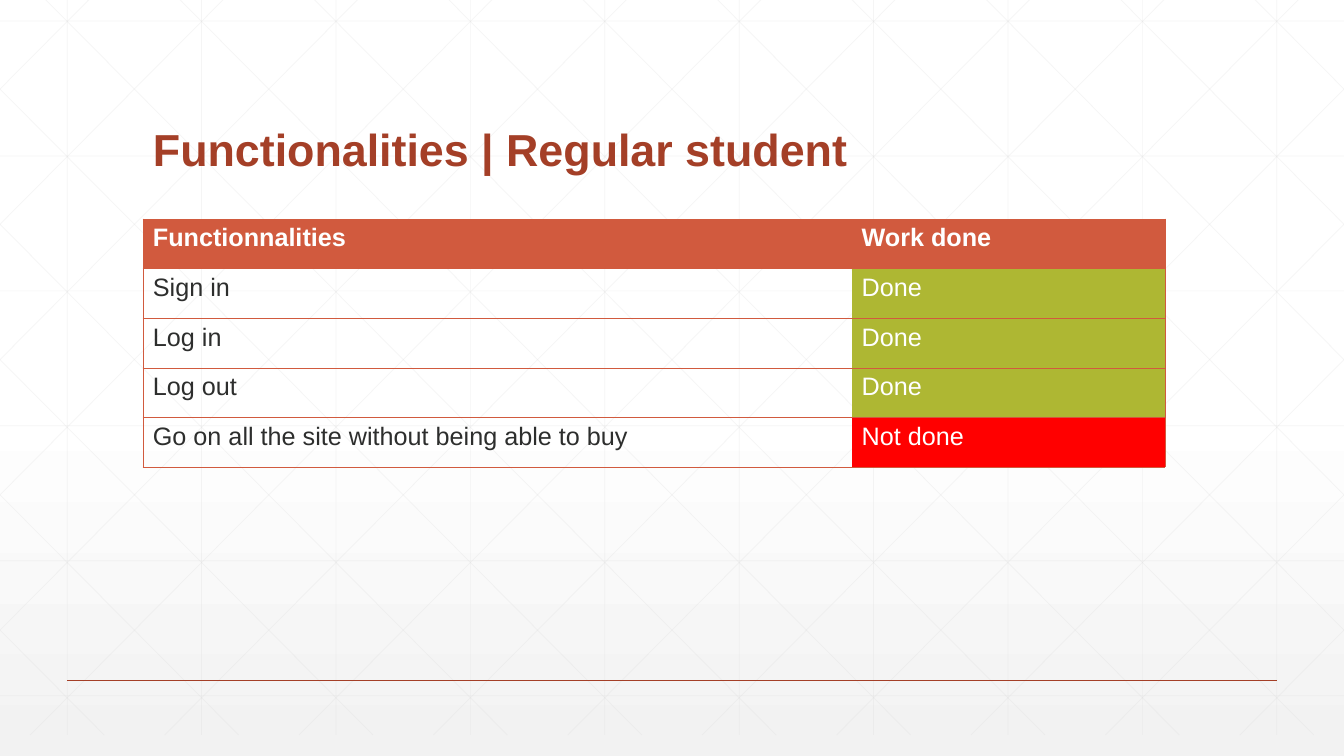
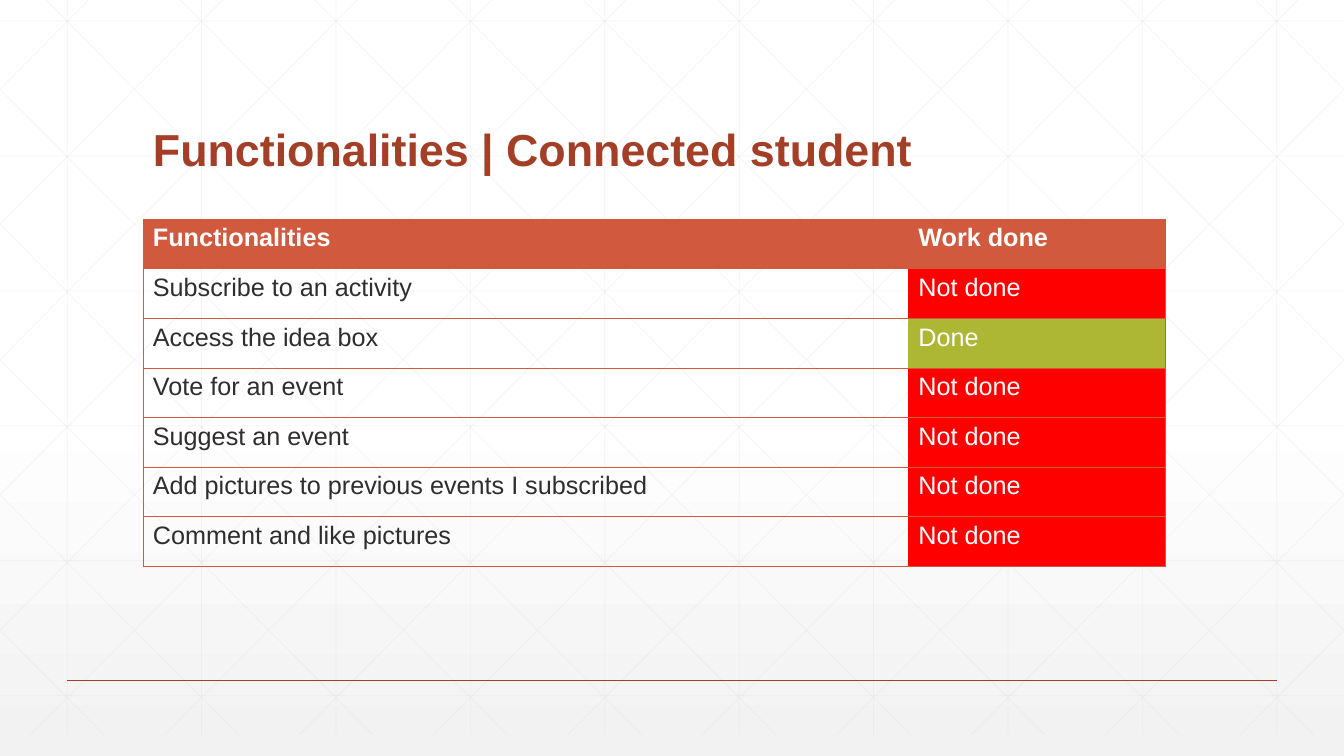
"""Build two slides that report which site functionalities are done."""
from copy import deepcopy
from dataclasses import dataclass
from typing import Iterator, NamedTuple

from pptx import Presentation
from pptx.dml.color import RGBColor
from pptx.enum import shapes, text
from pptx.oxml import ns, xmlchemy
from pptx.util import Cm, Pt
from lxml import etree


@dataclass(frozen=True)
class Theme:
    font: str = "Arial"
    title_size: float = 32
    table_size: float = 18
    grid_width: float = 0.5
    rule_width: float = 1
    border_width: float = 0.5
    title: RGBColor = RGBColor.from_string("A43F27")
    header: RGBColor = RGBColor.from_string("D15A3E")
    ink: RGBColor = RGBColor.from_string("2D2E2D")
    white: RGBColor = RGBColor.from_string("FFFFFF")
    done: RGBColor = RGBColor.from_string("AEB733")
    not_done: RGBColor = RGBColor.from_string("FF0000")
    grid: RGBColor = RGBColor.from_string("D9D9D9")
    page_end: RGBColor = RGBColor.from_string("F2F2F2")


class Segment(NamedTuple):
    x1: float
    y1: float
    x2: float
    y2: float


class Feature(NamedTuple):
    label: str
    done: bool


@dataclass(frozen=True)
class Report:
    title: str
    heading: str
    column_widths: tuple[float, float]
    features: tuple[Feature, ...]


THEME = Theme()
WIDTH, HEIGHT = 33.87, 19.05
PITCH = WIDTH / 10
GRID_TOP, GRID_BOTTOM = -0.53, 18.52
DIAGONAL_RUN = 18.93
MARGIN = 3.6
TABLE_TOP = 5.52
ROW_HEIGHT = 1.25
PLAIN_TABLE_STYLE = "{2D5ABB26-0587-4C30-8999-92F81FD0307C}"

REPORTS = (
    Report("Functionalities | Regular student", "Functionnalities", (17.86, 7.9), (
        Feature("Sign in", True),
        Feature("Log in", True),
        Feature("Log out", True),
        Feature("Go on all the site without being able to buy", False),
    )),
    Report("Functionalities | Connected student", "Functionalities", (19.29, 6.47), (
        Feature("Subscribe to an activity", False),
        Feature("Access the idea box", True),
        Feature("Vote for an event", False),
        Feature("Suggest an event", False),
        Feature("Add pictures to previous events I subscribed", False),
        Feature("Comment and like pictures", False),
    )),
)


def grid_segments() -> Iterator[Segment]:
    """Yield the vertical, horizontal and mirrored diagonal grid lines."""
    for column in range(10):
        x = PITCH * (column + 0.5)
        yield Segment(x, GRID_TOP, x, GRID_BOTTOM)
    for row in range(6):
        y = 0.53 + 3.4 * row
        yield Segment(0, y, WIDTH, y)
    slope = (GRID_BOTTOM - GRID_TOP) / DIAGONAL_RUN
    for step in range(-5, 10):
        start = 0.63 + PITCH * step
        left, right = max(start, 0), min(start + DIAGONAL_RUN, WIDTH)
        top, bottom = (GRID_TOP + (x - start) * slope for x in (left, right))
        yield Segment(left, top, right, bottom)
        yield Segment(WIDTH - left, top, WIDTH - right, bottom)


def set_alpha(color: xmlchemy.BaseOxmlElement, percent: int) -> None:
    """Make a colour element partly transparent."""
    etree.SubElement(color, ns.qn("a:alpha")).set("val", str(percent * 1000))


def add_line(group, segment: Segment, color: RGBColor, width: float):
    """Draw one straight line without a shadow."""
    line = group.shapes.add_connector(
        shapes.MSO_CONNECTOR.STRAIGHT, *(Cm(value) for value in segment))
    line.line.color.rgb = color
    line.line.width = Pt(width)
    etree.SubElement(line.element.spPr, ns.qn("a:effectLst"))
    return line


def paint_background(layout) -> None:
    """Give the layout a gradient from white to pale grey."""
    fill = layout.background.fill
    fill.gradient()
    fill.gradient_angle = 270
    first, last = fill.gradient_stops
    first.color.rgb, first.position = THEME.white, 0
    last.color.rgb, last.position = THEME.page_end, 1
    stops = layout.element.find(".//" + ns.qn("a:gsLst"))
    middle = deepcopy(stops[0])
    middle.set("pos", "53000")
    stops.insert(1, middle)
    set_alpha(stops[2][0], 65)


def move_backdrop_to_layout(slide) -> None:
    """Draw the grid and the footer rule, and place them in the slide's layout."""
    backdrop = slide.shapes.add_group_shape()
    for segment in grid_segments():
        line = add_line(backdrop, segment, THEME.grid, THEME.grid_width)
        set_alpha(line.element.find(".//" + ns.qn("a:srgbClr")), 25)
    rule = Segment(PITCH / 2, 17.15, WIDTH - PITCH / 2, 17.15)
    add_line(backdrop, rule, THEME.title, THEME.rule_width)
    for number, node in enumerate(backdrop.element.iter(ns.qn("p:cNvPr")), 100):
        node.set("id", str(number))
    slide.slide_layout.shapes.element.insert(2, backdrop.element)


def write(paragraph, words: str, size: float, color: RGBColor, bold: bool) -> None:
    """Add one formatted run."""
    run = paragraph.add_run()
    run.text = words
    run.font.name = THEME.font
    run.font.size = Pt(size)
    run.font.bold = bold
    run.font.color.rgb = color


def write_title(slide, words: str) -> None:
    """Place and fill the title placeholder."""
    title = slide.shapes.title
    title.left, title.top, title.width, title.height = (
        Cm(MARGIN), Cm(1.4), Cm(26.67), Cm(3.17))
    frame = title.text_frame
    frame.word_wrap = True
    frame.auto_size = text.MSO_AUTO_SIZE.NONE
    frame.vertical_anchor = text.MSO_ANCHOR.BOTTOM
    paragraph = frame.paragraphs[0]
    paragraph.alignment = text.PP_ALIGN.LEFT
    paragraph.line_spacing = 0.9
    write(paragraph, words, THEME.title_size, THEME.title, True)


def fill_cell(cell, words: str, fill: RGBColor | None, outer_side: str,
              bold: bool = False) -> None:
    """Fill a cell, and border its outer side, top and bottom."""
    if fill is None:
        cell.fill.background()
    else:
        cell.fill.solid()
        cell.fill.fore_color.rgb = fill
    color = THEME.ink if fill is None else THEME.white
    write(cell.text_frame.paragraphs[0], words, THEME.table_size, color, bold)
    properties = cell._tc.get_or_add_tcPr()
    for position, side in enumerate((outer_side, "lnT", "lnB")):
        border = etree.Element(ns.qn(f"a:{side}"), w=str(Pt(THEME.border_width)))
        solid = etree.SubElement(border, ns.qn("a:solidFill"))
        etree.SubElement(solid, ns.qn("a:srgbClr")).set("val", str(THEME.header))
        properties.insert(position, border)


def add_status_table(slide, report: Report) -> None:
    """Add the table of functionalities and their status."""
    row_count = len(report.features) + 1
    frame = slide.shapes.add_table(
        row_count, 2, Cm(MARGIN), Cm(TABLE_TOP),
        Cm(sum(report.column_widths)), Cm(ROW_HEIGHT * row_count))
    table = frame.table
    frame.element.find(".//" + ns.qn("a:tableStyleId")).text = PLAIN_TABLE_STYLE
    for column, width in zip(table.columns, report.column_widths):
        column.width = Cm(width)
    for row in table.rows:
        row.height = Cm(ROW_HEIGHT)
    fill_cell(table.cell(0, 0), report.heading, THEME.header, "lnL", True)
    fill_cell(table.cell(0, 1), "Work done", THEME.header, "lnR", True)
    for row, feature in enumerate(report.features, 1):
        status, color = (("Done", THEME.done) if feature.done
                         else ("Not done", THEME.not_done))
        fill_cell(table.cell(row, 0), feature.label, None, "lnL")
        fill_cell(table.cell(row, 1), status, color, "lnR")


def main() -> None:
    """Build and save the presentation."""
    deck = Presentation()
    deck.slide_width, deck.slide_height = Cm(WIDTH), Cm(HEIGHT)
    layout = deck.slide_layouts.get_by_name("Title Only")
    paint_background(layout)
    for report in REPORTS:
        slide = deck.slides.add_slide(layout)
        write_title(slide, report.title)
        add_status_table(slide, report)
    move_backdrop_to_layout(deck.slides[0])
    deck.save("out.pptx")


if __name__ == "__main__":
    main()
